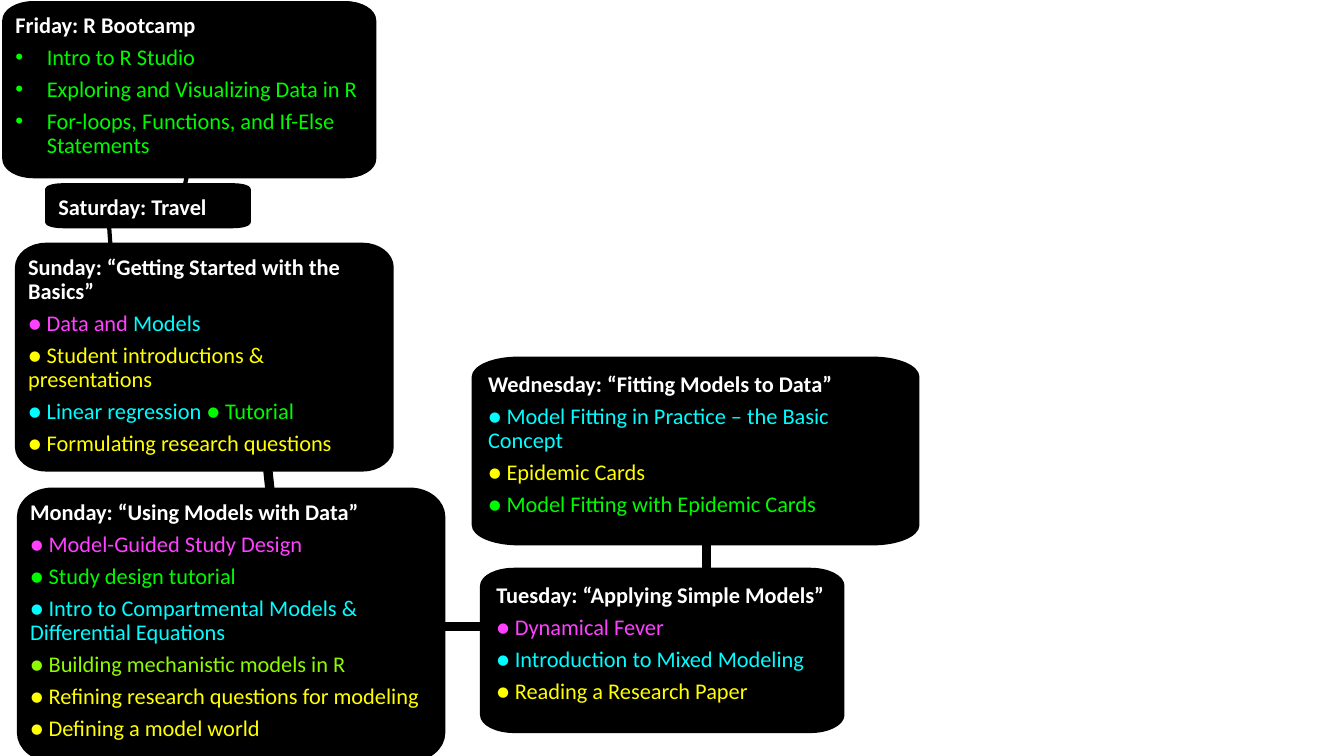
import pptx
import pptx.dml.color
import pptx.enum.shapes
import pptx.enum.text
import pptx.oxml
import pptx.oxml.ns
import pptx.util
from pptx.util import Cm, Pt

BLACK, WHITE = "000000", "FFFFFF"
PINK, CYAN, YELLOW = "FF40FF", "00FDFF", "FFFF00"
GREEN, LIME = "00FA00", "8EFA00"
NAMESPACE = 'xmlns:a="http://schemas.openxmlformats.org/drawingml/2006/main"'


def rgb(value):
    return pptx.dml.color.RGBColor.from_string(value)


def paint_black(shape):
    shape.shadow.inherit = False
    shape.fill.solid()
    shape.fill.fore_color.rgb = rgb(BLACK)
    shape.line.color.rgb = rgb(BLACK)
    shape.line.width = Pt(3)


presentation = pptx.Presentation()
presentation.slide_width = Cm(33.87)
presentation.slide_height = Cm(19.05)
slide = presentation.slides.add_slide(presentation.slide_layouts[6])

thin_links = [
    (2.72, 5.28, 2.82, 6.71),
    (2.36, 7.06, 2.34, 8.23),
    (4.72, 4.39, 4.57, 5.05),
]
for ends in thin_links:
    connector = slide.shapes.add_connector(
        pptx.enum.shapes.MSO_CONNECTOR.STRAIGHT, *[Cm(value) for value in ends])
    connector.line.color.rgb = rgb(BLACK)
    connector.line.width = Pt(3)
    connector._element.spPr.append(pptx.oxml.parse_xml(f"<a:effectLst {NAMESPACE}/>"))

thick_links = [
    (4.65, 12.67, 4.39, 83.9),
    (8.05, 15.72, 7.87, 0),
    (14.58, 13.82, 6.45, 270),
]
for left, top, length, rotation in thick_links:
    bar = slide.shapes.add_shape(
        pptx.enum.shapes.MSO_SHAPE.RECTANGLE, Cm(left), Cm(top), Cm(length), Cm(0.13))
    bar.rotation = rotation
    paint_black(bar)

days = [
    ((0.43, 6.17, 9.44, 5.66), 0.73, 0.28, "Sunday: “Getting Started with the Basics”", [
        [("● Data and ", PINK), ("Models", CYAN)],
        [("● Student introductions & presentations", YELLOW)],
        [("● Linear regression ", CYAN), ("● Tutorial", GREEN)],
        [("● Formulating research questions", YELLOW)],
    ]),
    ((0.48, 12.34, 10.69, 6.81), 0.84, 0.28, "Monday: “Using Models with Data”", [
        [("● Model-Guided Study Design", PINK)],
        [("● Study design tutorial", GREEN)],
        [("● Intro to Compartmental Models & Differential Equations", CYAN)],
        [("● Building mechanistic models in R", LIME)],
        [("● Refining research questions for modeling", YELLOW)],
        [("● Defining a model world", YELLOW)],
    ]),
    ((11.94, 9.04, 11.18, 4.65), 1.12, 0.36, "Wednesday: “Fitting Models to Data”", [
        [("● Model Fitting in Practice – the Basic Concept", CYAN)],
        [("● Epidemic Cards", YELLOW)],
        [("● Model Fitting with Epidemic Cards", GREEN)],
    ]),
    ((0.11, 0.08, 9.32, 4.36), 0.73, 0.28, "Friday: R Bootcamp", [
        [("Intro to R Studio", GREEN)],
        [("Exploring and Visualizing Data in R", GREEN)],
        [("For-loops, Functions, and If-Else Statements", GREEN)],
    ]),
    ((1.19, 4.67, 5.08, 1.03), 0.41, 0.28, "Saturday: Travel", []),
    ((12.15, 14.36, 9.08, 4.06), 0.81, 0.36, "Tuesday: “Applying Simple Models”", [
        [("● Dynamical Fever", PINK)],
        [("● Introduction to Mixed Modeling", CYAN)],
        [("● Reading a Research Paper", YELLOW)],
    ]),
]

for (left, top, width, height), radius_x, inset, heading, topics in days:
    radius_y = height / 10
    right, bottom = left + width, top + height
    corners = [
        ((left, top + radius_y), (left, top), (left + radius_x, top)),
        ((right - radius_x, top), (right, top), (right, top + radius_y)),
        ((right, bottom - radius_y), (right, bottom), (right - radius_x, bottom)),
        ((left + radius_x, bottom), (left, bottom), (left, bottom - radius_y)),
    ]
    outline = []
    for start, tip, end in corners:
        handles = [tuple(a + 0.55 * (b - a) for a, b in zip(point, tip))
                   for point in (start, end)]
        outline += [start, *handles, end]
    outline.append(corners[0][0])
    points = [(Cm(x), Cm(y)) for x, y in outline]
    builder = slide.shapes.build_freeform(*points[0])
    builder.add_line_segments(points[1:], close=True)
    box = builder.convert_to_shape()
    segments = box._element.xpath(".//a:lnTo")
    for first in range(0, 16, 4):
        curve, *others = segments[first:first + 3]
        curve.tag = pptx.oxml.ns.qn("a:cubicBezTo")
        for segment in others:
            curve.append(segment[0])
            segment.getparent().remove(segment)
    paint_black(box)

    frame = box.text_frame
    frame.word_wrap = True
    frame.vertical_anchor = pptx.enum.text.MSO_ANCHOR.TOP
    frame.margin_left = frame.margin_right = Cm(inset)
    frame.margin_top = frame.margin_bottom = Cm(inset)
    for index, runs in enumerate([[(heading, WHITE)]] + topics):
        paragraph = frame.add_paragraph() if index else frame.paragraphs[0]
        paragraph.alignment = pptx.enum.text.PP_ALIGN.LEFT
        paragraph.line_spacing = 0.9
        paragraph.space_after = Pt(5.6)
        if index and not runs[0][0].startswith("●"):
            properties = paragraph._p.get_or_add_pPr()
            properties.set("marL", str(Cm(0.79)))
            properties.set("indent", str(-Cm(0.79)))
            for bullet in ('buFont {} typeface="Arial"', 'buChar {} char="•"'):
                properties.append(pptx.oxml.parse_xml(f"<a:{bullet.format(NAMESPACE)}/>"))
        for text, color in runs:
            run = paragraph.add_run()
            run.text = text
            run.font.name = "Calibri"
            run.font.size = Pt(16)
            run.font.bold = index == 0
            run.font.color.rgb = rgb(color)

presentation.save("out.pptx")
